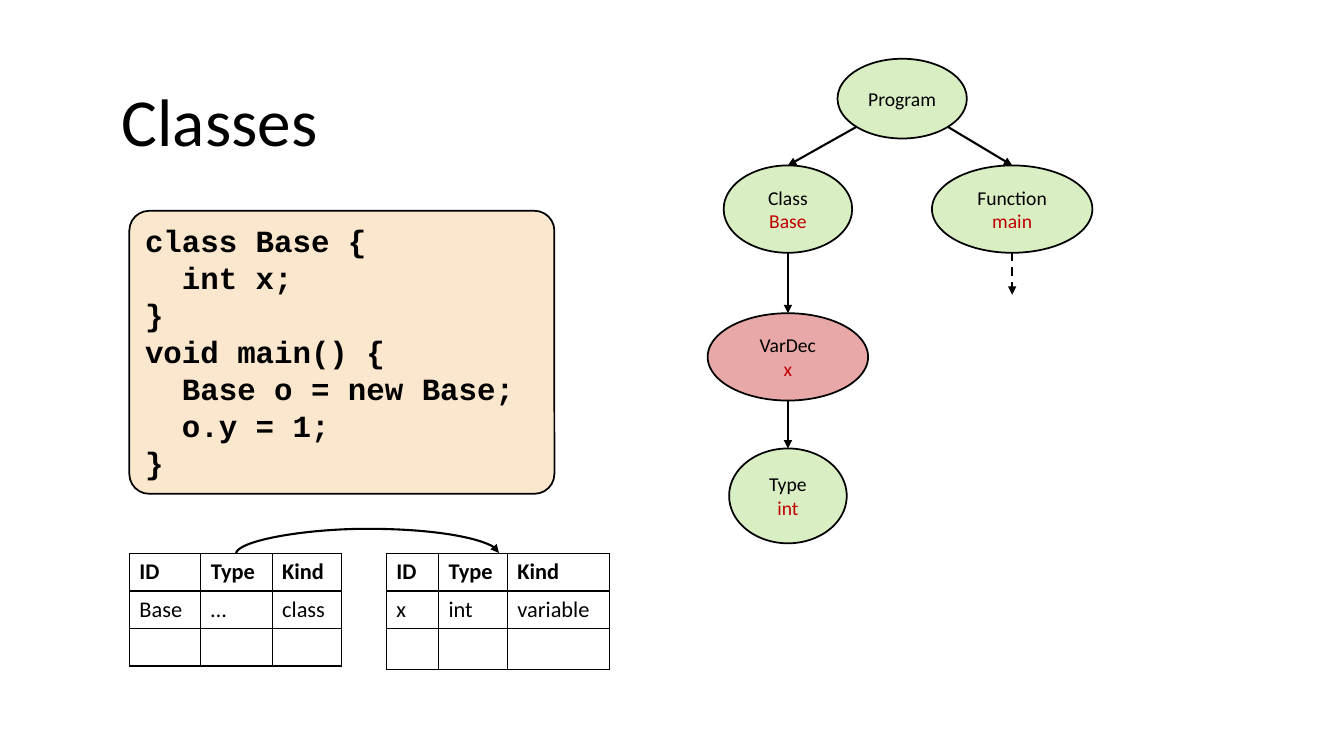
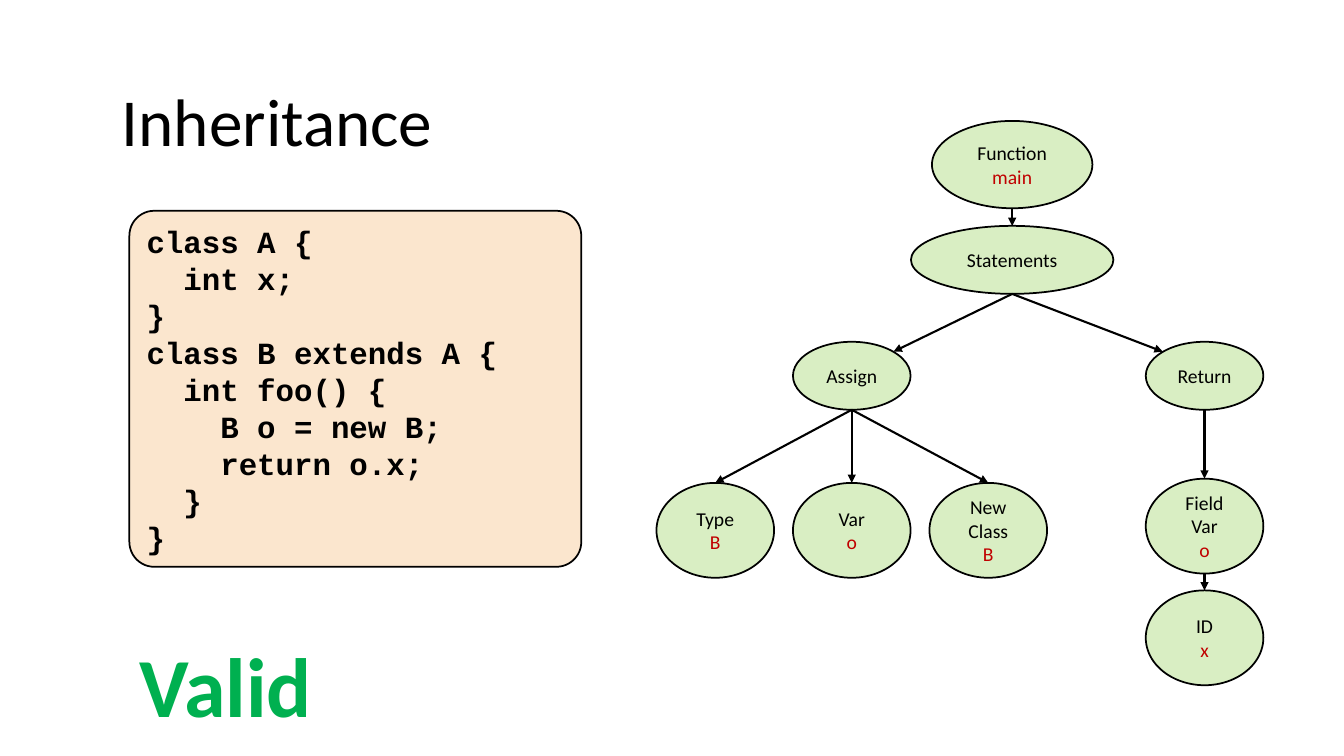
from dataclasses import dataclass

from lxml import etree
from pptx import Presentation, util as u
from pptx.dml.color import RGBColor
from pptx.enum import dml, shapes, text
from pptx.oxml.ns import qn


@dataclass(frozen=True)
class Theme:
    ink: str = "000000"
    paper: str = "FFFFFF"
    code_fill: str = "FBE6CE"
    node: str = "92D050"
    marked: str = "C00000"
    valid: str = "00B050"
    node_alpha: int = 34
    body_font: str = "Calibri"
    code_font: str = "Courier New"
    title_size: int = 48
    verdict_size: int = 60
    code_size: int = 22
    table_size: int = 16
    node_size: int = 14
    outline: float = 1.25
    arrow: float = 1.5
    border: float = 1


T = Theme()
COLS = 160  # square grid cells across the slide
WIDTH, HEIGHT = u.Inches(13.33), u.Inches(7.5)

# Shared grid positions, in columns and rows
LEFT = 15.4
TITLE_BOX = (13.3, 8.75, 133, 10.9)
CODE_TOP = 25.1
TABLE_TOP = 65.9
ROW = 4.4

# Node sizes
SMALL, FLAT, WIDE = (14, 11.3), (14, 8.1), (19.1, 10.4)

# Points on an ellipse, in half-widths and half-heights from its centre
DIAG = 0.71
TOP, BOTTOM = (0, -1), (0, 1)
TOP_LEFT, TOP_RIGHT = (-DIAG, -DIAG), (DIAG, -DIAG)
BOTTOM_LEFT, BOTTOM_RIGHT = (-DIAG, DIAG), (DIAG, DIAG)


def g(cells):
    return round(cells * WIDTH / COLS)


def rgb(code):
    return RGBColor.from_string(code)


def sub(parent, tag, **attrs):
    el = etree.SubElement(parent, qn(tag))
    for key, value in attrs.items():
        el.set(key, str(value))
    return el


# ---- Text and shape styling ----
def add_run(p, words, size, color=T.ink, font=T.body_font, bold=False):
    r = p.add_run()
    r.text = words
    r.font.size, r.font.name, r.font.bold = u.Pt(size), font, bold
    r.font.color.rgb = rgb(color)


def paragraphs(tf, count):
    return [tf.paragraphs[0]] + [tf.add_paragraph() for _ in range(count - 1)]


def outlined(slide, kind, box, fill):
    sp = slide.shapes.add_shape(kind, *map(g, box))
    sp.shadow.inherit = False
    sp.fill.solid()
    sp.fill.fore_color.rgb = rgb(fill)
    sp.line.color.rgb = rgb(T.ink)
    sp.line.width = u.Pt(T.outline)
    return sp


def connector(slide, kind, start, end, dash=False):
    c = slide.shapes.add_connector(kind, *map(g, (*start, *end)))
    c.line.color.rgb = rgb(T.ink)
    c.line.width = u.Pt(T.arrow)
    if dash:
        c.line.dash_style = dml.MSO_LINE.DASH
    sub(c.line._get_or_add_ln(), "a:tailEnd", type="triangle")
    sub(c._element.spPr, "a:effectLst")
    return c


# ---- Regions ----
def titled_slide(prs, title):
    slide = prs.slides.add_slide(prs.slide_layouts[5])
    sp = slide.shapes.title
    sp.left, sp.top, sp.width, sp.height = map(g, TITLE_BOX)
    p = sp.text_frame.paragraphs[0]
    p.alignment = text.PP_ALIGN.LEFT
    add_run(p, title, T.title_size)
    return slide


def code_panel(slide, size, lines):
    sp = outlined(slide, shapes.MSO_SHAPE.ROUNDED_RECTANGLE,
                  (LEFT, CODE_TOP, *size), T.code_fill)
    sp.adjustments[0] = 0.07
    tf = sp.text_frame
    tf.word_wrap = True
    tf.vertical_anchor = text.MSO_ANCHOR.TOP
    for p, line in zip(paragraphs(tf, len(lines)), lines):
        p.alignment = text.PP_ALIGN.LEFT
        add_run(p, line, T.code_size, font=T.code_font, bold=True)


class Tree:
    """Syntax tree whose nodes are placed from the corner of its box."""

    def __init__(self, slide, left, top):
        self.slide, self.left, self.top = slide, left, top

    def node(self, center, top, size, words, name=None, fill=T.node):
        w, h = size
        box = (self.left + center - w / 2, self.top + top, w, h)
        sp = outlined(self.slide, shapes.MSO_SHAPE.OVAL, box, fill)
        color = sp._element.spPr.find(qn("a:solidFill"))[0]
        sub(color, "a:alpha", val=T.node_alpha * 1000)
        tf = sp.text_frame
        tf.word_wrap = False
        tf.vertical_anchor = text.MSO_ANCHOR.MIDDLE
        lines = [(word, T.ink) for word in words.split()]
        if name:
            lines.append((name, T.marked))
        for p, (line, ink) in zip(paragraphs(tf, len(lines)), lines):
            p.alignment = text.PP_ALIGN.CENTER
            add_run(p, line, T.node_size, ink)
        return box

    @staticmethod
    def site(box, at):
        x, y, w, h = box
        return x + w / 2 * (1 + at[0]), y + h / 2 * (1 + at[1])

    def edge(self, parent, child, leave=BOTTOM, enter=TOP):
        connector(self.slide, shapes.MSO_CONNECTOR.STRAIGHT,
                  self.site(parent, leave), self.site(child, enter))

    def stub(self, parent, length):
        x, y = self.site(parent, BOTTOM)
        connector(self.slide, shapes.MSO_CONNECTOR.STRAIGHT,
                  (x, y), (x, y + length), dash=True)


def cell_borders(cell):
    tc_pr = cell._tc.get_or_add_tcPr()
    for i, side in enumerate("LRTB"):
        ln = etree.Element(qn(f"a:ln{side}"), w=str(u.Pt(T.border)))
        sub(sub(ln, "a:solidFill"), "a:srgbClr", val=T.ink)
        tc_pr.insert(i, ln)


def symbol_table(slide, left, widths, entry, last_row=ROW):
    heights = (ROW, ROW, last_row)
    rows = (("ID", "Type", "Kind"), entry, ("", "", ""))
    box = (left, TABLE_TOP, sum(widths), sum(heights))
    table = slide.shapes.add_table(3, 3, *map(g, box)).table
    table.first_row = table.horz_banding = False
    for col, w in zip(table.columns, widths):
        col.width = g(w)
    for i, (row, h) in enumerate(zip(table.rows, heights)):
        row.height = g(h)
        for cell, words in zip(row.cells, rows[i]):
            cell.fill.solid()
            cell.fill.fore_color.rgb = rgb(T.paper)
            cell_borders(cell)
            p = cell.text_frame.paragraphs[0]
            if words:
                add_run(p, words, T.table_size, bold=i == 0)
            else:  # keeps the empty row at the text height
                sub(p._p, "a:endParaRPr", sz=T.table_size * 100)


def scope_arrow(slide, start, end, y, rise):
    """Arch between two tables: a thin curve, turned by a quarter."""
    span, thin = end - start, 0.1
    x = (start + end) / 2
    c = connector(slide, shapes.MSO_CONNECTOR.CURVE,
                  (x + thin / 2, y + span / 2), (x - thin / 2, y - span / 2))
    sp_pr = c._element.spPr
    sp_pr.find(qn("a:xfrm")).set("rot", str(90 * 60000))
    guides = sp_pr.find(qn("a:prstGeom")).find(qn("a:avLst"))
    sub(guides, "a:gd", name="adj1", fmla=f"val {round(rise / thin * 100000)}")


def verdict(slide, box, word):
    tf = slide.shapes.add_textbox(*map(g, box)).text_frame
    tf.word_wrap = True
    tf.auto_size = text.MSO_AUTO_SIZE.SHAPE_TO_FIT_TEXT
    add_run(tf.paragraphs[0], word, T.verdict_size, T.valid, bold=True)


# ---- Slides ----
def classes_slide(prs):
    slide = titled_slide(prs, "Classes")
    code_panel(slide, (50.6, 33.7), (
        "class Base {",
        "  int x;",
        "}",
        "void main() {",
        "  Base o = new Base;",
        "  o.y = 1;",
        "}",
    ))
    symbol_table(slide, LEFT, (8.5, 8.5, 8.3), ("Base", "…", "class"))
    symbol_table(slide, 46, (6.2, 8.2, 12.2), ("x", "int", "variable"), 4.85)
    scope_arrow(slide, 28.1, 59.4, TABLE_TOP, 3)

    tree = Tree(slide, 84, 7)
    left, right, second = 9.8, 36.5, 12.7
    program = tree.node(23.4, 0, (15.4, 9.5), "Program")
    base = tree.node(left, second, (15.3, 10.4), "Class", "Base")
    main_fn = tree.node(right, second, WIDE, "Function", "main")
    var_dec = tree.node(left, 30.3, WIDE, "VarDec", "x", T.marked)
    int_type = tree.node(left, 46.4, SMALL, "Type", "int")
    tree.edge(program, base, BOTTOM_LEFT)
    tree.edge(program, main_fn, BOTTOM_RIGHT)
    tree.edge(base, var_dec)
    tree.edge(var_dec, int_type)
    tree.stub(main_fn, 5)


def inheritance_slide(prs):
    slide = titled_slide(prs, "Inheritance")
    code_panel(slide, (53.8, 42.4), (
        "class A {",
        "  int x;",
        "}",
        "class B extends A {",
        "  int foo() {",
        "    B o = new B;",
        "    return o.x;",
        "  }",
        "}",
    ))
    verdict(slide, (LEFT, 74.8, 36.7, 13.3), "Valid")

    tree = Tree(slide, 78, 14.4)
    middle, left, right, third = 42.5, 23.4, 65.4, 26.3
    main_fn = tree.node(middle, 0, WIDE, "Function", "main")
    statements = tree.node(middle, 12.5, (24.1, 8.1), "Statements")
    assign = tree.node(left, third, FLAT, "Assign")
    returns = tree.node(right, third, FLAT, "Return")
    field = tree.node(right, 42.6, SMALL, "Field Var", "o")
    field_id = tree.node(right, 55.9, SMALL, "ID", "x")
    tree.edge(main_fn, statements)
    tree.edge(statements, assign, enter=TOP_RIGHT)
    tree.edge(statements, returns, enter=TOP_LEFT)
    tree.edge(returns, field)
    tree.edge(field, field_id)
    parts = (("Type", "B"), ("Var", "o"), ("New Class", "B"))
    for i, (words, name) in enumerate(parts):
        part = tree.node(left + 16.25 * (i - 1), 43.1, SMALL, words, name)
        tree.edge(assign, part)


def main():
    prs = Presentation()
    prs.slide_width, prs.slide_height = WIDTH, HEIGHT
    classes_slide(prs)
    inheritance_slide(prs)
    prs.save("out.pptx")


if __name__ == "__main__":
    main()
